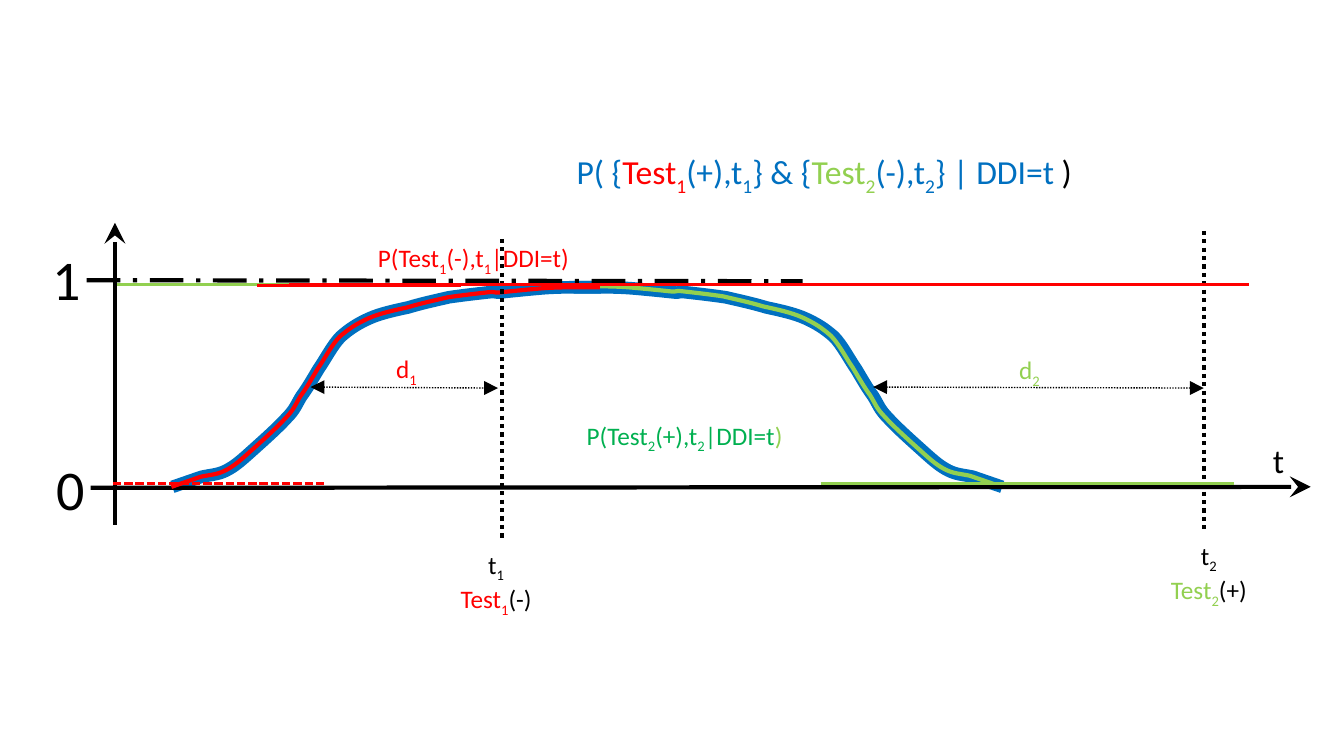
from lxml import etree
from pptx import Presentation
from pptx.dml.color import RGBColor
from pptx.enum.dml import MSO_LINE
from pptx.enum.shapes import MSO_CONNECTOR
from pptx.enum.text import MSO_AUTO_SIZE, PP_ALIGN
from pptx.oxml.ns import qn
from pptx.util import Inches, Pt

BLACK = RGBColor(0x00, 0x00, 0x00)
BLUE = RGBColor(0x00, 0x70, 0xC0)
RED = RGBColor(0xFF, 0x00, 0x00)
LIME = RGBColor(0x92, 0xD0, 0x50)
GREEN = RGBColor(0x00, 0xB0, 0x50)
DOT = MSO_LINE.ROUND_DOT
DASH = MSO_LINE.SQUARE_DOT
LONG = MSO_LINE.LONG_DASH_DOT
LEFT = PP_ALIGN.LEFT
CENTER = PP_ALIGN.CENTER
GROW = MSO_AUTO_SIZE.SHAPE_TO_FIT_TEXT
STRAIGHT = MSO_CONNECTOR.STRAIGHT

START = (1.71, 4.83)
KNEE = (2, 4.73)
END = (5.96, 2.85)
BENDS = [
    ((2.09, 4.71), (2.16, 4.71), (2.24, 4.67)),
    ((2.32, 4.63), (2.38, 4.58), (2.48, 4.49)),
    ((2.58, 4.4), (2.75, 4.25), (2.84, 4.15)),
    ((2.93, 4.06), (2.94, 4.01), (2.99, 3.93)),
    ((3.05, 3.85), (3.1, 3.76), (3.16, 3.66)),
    ((3.23, 3.56), (3.3, 3.42), (3.38, 3.34)),
    ((3.47, 3.26), (3.55, 3.21), (3.66, 3.16)),
    ((3.77, 3.11), (3.91, 3.08), (4.05, 3.05)),
    ((4.18, 3.01), (4.32, 2.98), (4.45, 2.95)),
    ((4.58, 2.93), (4.76, 2.91), (4.85, 2.9)),
    ((4.94, 2.89), (4.89, 2.91), (4.98, 2.9)),
    ((5.07, 2.89), (5.27, 2.87), (5.39, 2.86)),
    ((5.52, 2.85), (5.65, 2.85), (5.73, 2.85)),
    ((5.82, 2.85), (5.92, 2.85), (5.92, 2.85)),
]
TRACE = [START, KNEE, *[point for bend in BENDS for point in bend], END]


class Board:
    font = "Calibri"

    def __init__(self, slide):
        self.shapes = slide.shapes

    def curve(self, color, width, place):
        points = [tuple(Inches(v) for v in place(x, y)) for x, y in TRACE]
        form = self.shapes.build_freeform(*points[0])
        form.add_line_segments(points[1:], close=False)
        shape = form.convert_to_shape()
        self.bend(shape)
        shape.shadow.inherit = False
        shape.fill.background()
        shape.line.color.rgb = color
        shape.line.width = Pt(width)

    def bend(self, shape):
        legs = list(shape._element.iter(qn("a:lnTo")))[1:-1]
        for i in range(0, len(legs), 3):
            arc = etree.Element(qn("a:cubicBezTo"))
            legs[i].addprevious(arc)
            for leg in legs[i:i + 3]:
                arc.append(leg[0])
                leg.getparent().remove(leg)

    def line(self, start, end, color, width, dash=None, head=None, tail=None):
        ends = [Inches(v) for v in start + end]
        link = self.shapes.add_connector(STRAIGHT, *ends)
        link.line.color.rgb = color
        link.line.width = Pt(width)
        if dash:
            link.line.dash_style = dash
        ln = link.line._get_or_add_ln()
        for tag, kind in (("a:headEnd", head), ("a:tailEnd", tail)):
            if kind:
                etree.SubElement(ln, qn(tag), type=kind, w="lg", len="lg")
        etree.SubElement(link._element.spPr, qn("a:effectLst"))

    def run(self, para, text, size, color, low):
        run = para.add_run()
        run.text = text
        run.font.name = self.font
        run.font.size = Pt(size)
        run.font.color.rgb = color
        if low:
            run._r.get_or_add_rPr().set("baseline", "-25000")

    def label(self, place, *rows, size=18, align=LEFT, wrap=True):
        box = self.shapes.add_textbox(*[Inches(v) for v in place])
        frame = box.text_frame
        frame.word_wrap = wrap
        frame.auto_size = GROW
        for i, row in enumerate(rows):
            para = frame.add_paragraph() if i else frame.paragraphs[0]
            para.alignment = align
            for text, color in row:
                first, *rest = text.split("_")
                parts = [(first, False)]
                for part in rest:
                    parts += [(part[0], True), (part[1:], False)]
                for part, low in parts:
                    if part:
                        self.run(para, part, size, color, low)
        return frame


def main():
    deck = Presentation()
    deck.slide_width = Inches(13.33)
    deck.slide_height = Inches(7.5)
    board = Board(deck.slides.add_slide(deck.slide_layouts[6]))

    board.curve(BLUE, 9, lambda x, y: (11.65 - x, y))
    board.curve(BLUE, 9, lambda x, y: (x, y))
    board.curve(LIME, 3, lambda x, y: (11.62 - x, y - 0.01))
    board.line((1.12, 2.82), (8.84, 2.82), LIME, 2)
    board.line((1.14, 2.21), (1.14, 5.21), BLACK, 3, head="stealth")
    board.line((0.9, 4.84), (13, 4.83), BLACK, 3, tail="stealth")
    board.curve(RED, 3, lambda x, y: (x - 0.01, y))
    board.line((0.86, 2.78), (7.96, 2.79), BLACK, 3, LONG)

    board.line((3.08, 3.84), (4.94, 3.85), BLACK, 1, DOT,
               "triangle", "triangle")
    board.label((3.83, 3.46, 1.07, 0.4), [("d_1", RED)])
    board.label((0.46, 4.46, 0.62, 0.77), [("0", BLACK)], size=40)
    board.label((0.42, 2.38, 0.62, 0.77), [("1", BLACK)], size=40)
    for x, top in ((4.98, 2.37), (11.94, 2.29)):
        board.line((x, top), (x, top + 3), BLACK, 3, DOT)
    board.line((8.66, 3.84), (11.94, 3.85), BLACK, 1, DOT,
               "triangle", "triangle")
    board.label((10.01, 3.47, 1.07, 0.4), [("d_2", LIME)])

    board.line((2.87, 2.82), (12.39, 2.82), RED, 2)
    board.line((4.57, 2.83), (2.55, 2.83), RED, 2)
    board.line((10.18, 4.8), (8.15, 4.8), LIME, 2, DASH)
    board.line((1.12, 4.8), (3.21, 4.8), RED, 2, DASH)
    board.line((8.14, 4.8), (12.24, 4.8), LIME, 2)

    board.label((12.1, 4.32, 1.16, 0.5), [("t", BLACK)], size=24, align=CENTER)
    board.label((5.72, 4.12, 2.45, 0.4),
                [("P(Test_2(+),t_2|DDI=t", GREEN), (")", LIME)])
    board.label((3.65, 2.36, 2.28, 0.4), [("P(Test_1(-),t_1|DDI=t)", RED)])
    board.label((11.41, 5.31, 1.16, 0.71), [("t_2", BLACK)],
                [("Test_2", LIME), ("(+)", BLACK)], align=CENTER)
    first = board.label((4.35, 5.4, 1.25, 0.71), [("t_1", BLACK)],
                        [("Test_1", RED), ("(-)", BLACK)], align=CENTER)
    first.paragraphs[0]._p.get_or_add_pPr().set("marR", str(Inches(0.11)))
    board.label((5.62, 1.45, 5.21, 0.5),
                [("P( {", BLUE), ("Test_1", RED), ("(+),t_1} & {", BLUE),
                 ("Test_2", LIME), ("(-),t_2} | DDI=t ", BLUE), (")", BLACK)],
                size=24, wrap=False)
    deck.save("out.pptx")


if __name__ == "__main__":
    main()
